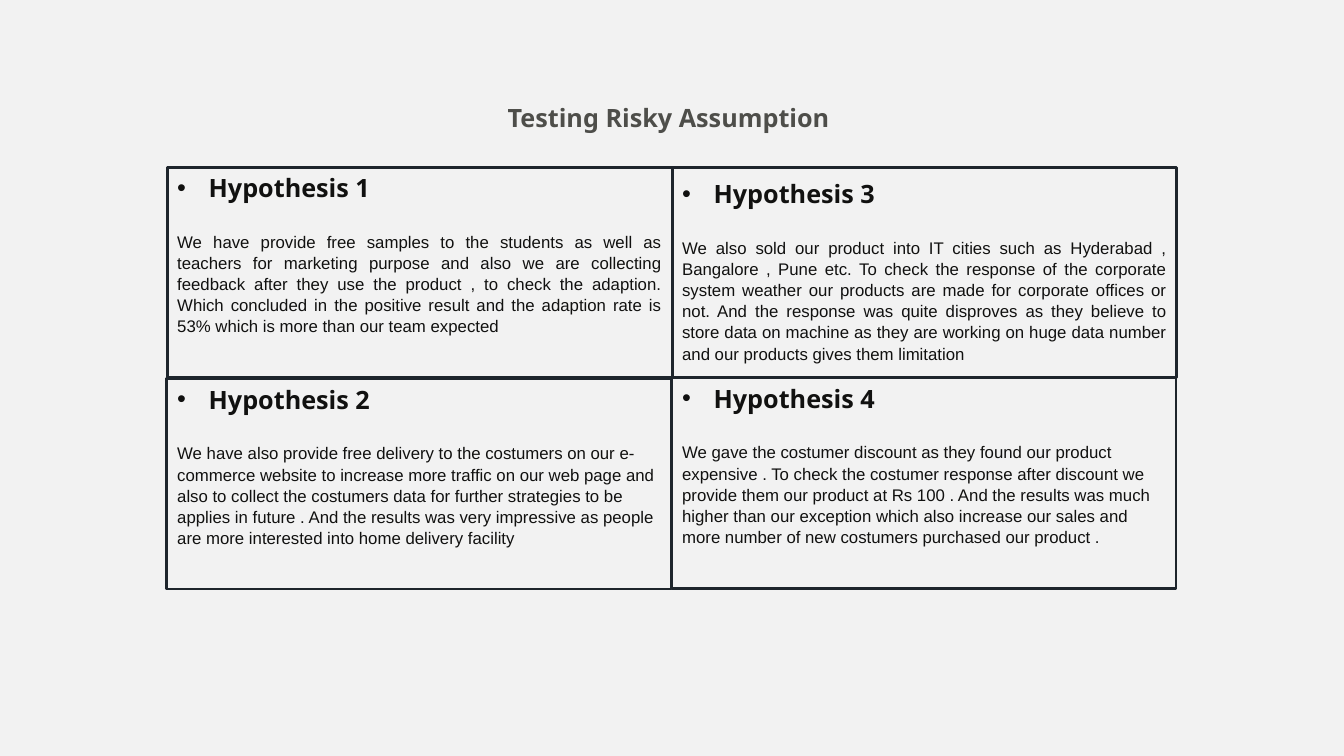
import lxml.etree
import pptx
import pptx.dml.color
import pptx.enum.shapes
import pptx.enum.text
import pptx.oxml.ns
import pptx.util

Pt = pptx.util.Pt
ALIGN = pptx.enum.text.PP_ALIGN

BACKGROUND = "F2F2F2"
BORDER = "1E252C"
INK = "111110"
TITLE_INK = "4E4E4A"

CELL_WIDTH, CELL_HEIGHT = 360.5, 150.2

# Number, cell left, cell top, text left, text top, alignment, statement
HYPOTHESES = [
    (1, 119.5, 119.5, 119.5, 119.5, ALIGN.JUSTIFY,
     "We have provide free samples to the students as well as teachers for marketing "
     "purpose and also we are collecting feedback after they use the product , to check "
     "the adaption. Which concluded in the positive result and the adaption rate is 53% "
     "which is more than our team expected"),
    (3, 480.2, 119.5, 480.2, 123.8, ALIGN.JUSTIFY,
     "We also sold our product into IT cities such as Hyderabad , Bangalore , Pune etc. "
     "To check the response of the corporate system weather our products are made for "
     "corporate offices or not. And the response was quite disproves as they believe to "
     "store data on machine as they are working on huge data number and our products "
     "gives them limitation"),
    (2, 118.8, 270.5, 119.5, 270.7, ALIGN.LEFT,
     "We have also provide free delivery to the costumers on our e- commerce website to "
     "increase more traffic on our web page and also to collect the costumers data for "
     "further strategies to be applies in future . And the results was very impressive as "
     "people are more interested into home delivery facility"),
    (4, 479.5, 270, 480.2, 270, ALIGN.LEFT,
     "We gave the costumer discount as they found our product expensive . To check the "
     "costumer response after discount we provide them our product at Rs 100 . And the "
     "results was much higher than our exception which also increase our sales and more "
     "number of new costumers purchased our product ."),
]


def color(code):
    return pptx.dml.color.RGBColor.from_string(code)


def style(para, name, size, ink, bold):
    font = para.font
    font.name, font.size, font.bold = name, Pt(size), bold
    font.color.rgb = color(ink)


def add_bullet(para, indent):
    properties = para._p.get_or_add_pPr()
    properties.set("marL", str(Pt(indent)))
    properties.set("indent", str(-Pt(indent)))
    qn = pptx.oxml.ns.qn
    bullet_font = lxml.etree.Element(qn("a:buFont"), typeface="Arial")
    bullet = lxml.etree.Element(qn("a:buChar"), char="•")
    # Bullet settings belong before the default run properties
    defaults = properties.find(qn("a:defRPr"))
    defaults.addprevious(bullet_font)
    defaults.addprevious(bullet)


def set_title(page, text):
    title = page.shapes.title
    title.left, title.top = Pt(242.6), Pt(59.8)
    title.width, title.height = Pt(474.5), Pt(47.5)
    frame = title.text_frame
    frame.margin_left = frame.margin_right = Pt(7.2)
    frame.margin_top = frame.margin_bottom = Pt(7.2)
    frame.vertical_anchor = pptx.enum.text.MSO_ANCHOR.MIDDLE
    frame.text = text
    para = frame.paragraphs[0]
    para.alignment = ALIGN.CENTER
    style(para, "Noto Sans", 18, TITLE_INK, True)


def add_cell(page, left, top):
    cell = page.shapes.add_shape(pptx.enum.shapes.MSO_SHAPE.RECTANGLE,
                                 Pt(left), Pt(top), Pt(CELL_WIDTH), Pt(CELL_HEIGHT))
    cell.shadow.inherit = False
    cell.fill.solid()
    cell.fill.fore_color.rgb = color(BACKGROUND)
    cell.line.color.rgb = color(BORDER)
    cell.line.width = Pt(2)


def add_statement(page, left, top, heading, statement, alignment):
    box = page.shapes.add_textbox(Pt(left), Pt(top), Pt(CELL_WIDTH), Pt(124))
    frame = box.text_frame
    frame.word_wrap = True

    # Bulleted heading
    para = frame.paragraphs[0]
    para.text = heading
    para.space_after = Pt(20)
    style(para, "Noto Sans", 18, INK, True)
    add_bullet(para, 22.5)

    # Explanation
    para = frame.add_paragraph()
    para.text = statement
    para.alignment = alignment
    para.line_spacing = 1.05
    style(para, "Arial", 12, INK, False)


def main():
    deck = pptx.Presentation()
    deck.slide_width, deck.slide_height = Pt(960), Pt(540)
    page = deck.slides.add_slide(deck.slide_layouts[5])
    page.background.fill.solid()
    page.background.fill.fore_color.rgb = color(BACKGROUND)

    set_title(page, "Testing Risky Assumption ")

    # Cells first, so that no cell covers a neighbour's text
    for _, left, top, *_ in HYPOTHESES:
        add_cell(page, left, top)
    for number, _, _, left, top, alignment, statement in HYPOTHESES:
        add_statement(page, left, top, f"Hypothesis {number}", statement, alignment)

    deck.save("out.pptx")


if __name__ == "__main__":
    main()
